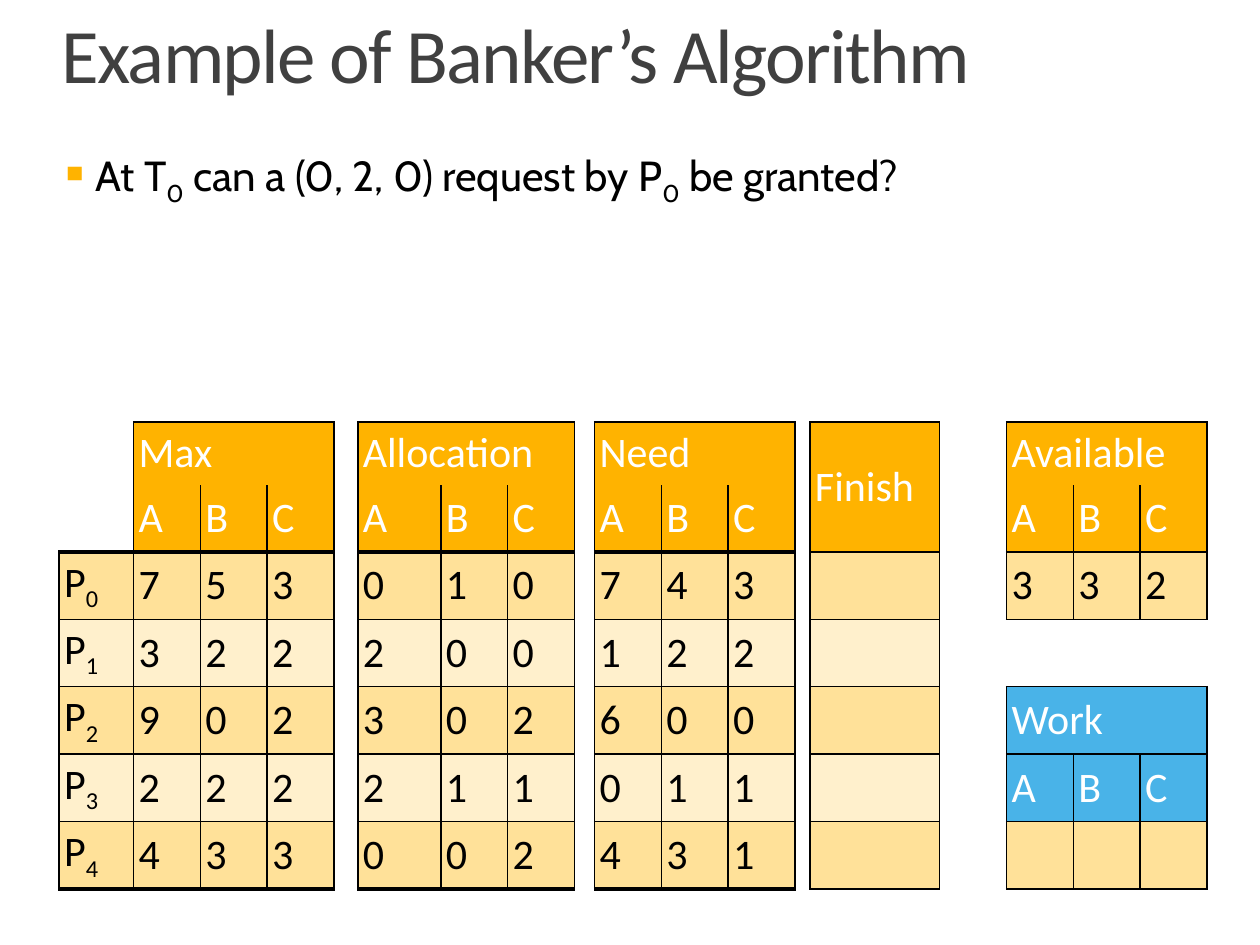
from lxml import etree
from pptx import Presentation
from pptx.dml.color import RGBColor
from pptx.enum.text import MSO_ANCHOR
from pptx.oxml.ns import qn
from pptx.util import Inches, Pt

TOP, MIDDLE, BOTTOM = MSO_ANCHOR.TOP, MSO_ANCHOR.MIDDLE, MSO_ANCHOR.BOTTOM
BLACK, WHITE, GREY = "000000", "FFFFFF", "404040"
AMBER, BLUE = "FFB300", "49B3E8"
BANDS = ["FFE199", "FFF0CC"]
THIN, THICK = 1, 2.25
PLAIN_TABLE = "{2D5ABB26-0587-4C30-8999-92F81FD0307C}"

COLUMN_WIDTHS = [0.59, 0.53, 0.53, 0.53, 0.19, 0.66, 0.53, 0.53, 0.16,
                 0.53, 0.53, 0.53, 0.12, 1.03, 0.53, 0.53, 0.53, 0.53]
ROW_HEIGHTS = [0.5] + [0.53] * 6
FINISH_COLUMN = 13
# title, first row, first column, header fill, bottom line width, values
RESOURCE_GROUPS = [
    ("Max", 0, 1, AMBER, THICK, ["753", "322", "902", "222", "433"]),
    ("Allocation", 0, 5, AMBER, THICK, ["010", "200", "302", "211", "002"]),
    ("Need", 0, 9, AMBER, THICK, ["743", "122", "600", "011", "431"]),
    ("Available", 0, 15, AMBER, THIN, ["332"]),
    ("Work", 4, 15, BLUE, THIN, ["   "]),
]


def color(hex_code):
    return RGBColor.from_string(hex_code)


def write(para, text, size, hex_code, font_name="Calibri"):
    """Fill a paragraph; every second part between bars is a subscript."""
    para.font.size = Pt(size)
    para.font.name = font_name
    para.font.color.rgb = color(hex_code)
    for index, part in enumerate(text.split("|")):
        if part:
            span = para.add_run()
            span.text = part
            if index % 2:
                span.font._element.set("baseline", "-25000")


def add_box(page, left, top, width, height, anchor):
    box = page.shapes.add_textbox(*map(Inches, (left, top, width, height)))
    frame = box.text_frame
    frame.word_wrap = True
    frame.vertical_anchor = anchor
    frame.margin_left = frame.margin_right = 0
    frame.margin_top = frame.margin_bottom = 0
    return frame


def add_title(page):
    frame = add_box(page, 0, 0, 10, 0.78, BOTTOM)
    frame.margin_top = Inches(0.04)
    para = frame.paragraphs[0]
    para._p.get_or_add_pPr().set("marL", str(Inches(0.49)))
    para.line_spacing = 0.8
    write(para, "Example of Banker’s Algorithm", 44, GREY)
    para.runs[0].font._element.set("spc", "-100")


def add_question(page):
    para = add_box(page, 0.47, 1.19, 9.06, 2.76, TOP).paragraphs[0]
    properties = para._p.get_or_add_pPr()
    properties.set("marL", str(Inches(0.29)))
    properties.set("indent", str(-Inches(0.29)))
    bullet_color = etree.SubElement(properties, qn("a:buClr"))
    etree.SubElement(bullet_color, qn("a:srgbClr"), val=AMBER)
    etree.SubElement(properties, qn("a:buChar"), char="▪")
    write(para, "At T|0| can a (0, 2, 0) request by P|0| be granted?", 24, BLACK, "Cabin")


def set_borders(cell, **widths):
    """Draw the given sides (L, R, T, B) with lines of these widths."""
    properties = cell._tc.get_or_add_tcPr()
    for index, side in enumerate(s for s in "LRTB" if s in widths):
        line = etree.Element(qn(f"a:ln{side}"), w=str(Pt(widths[side])))
        fill = etree.SubElement(line, qn("a:solidFill"))
        etree.SubElement(fill, qn("a:srgbClr"), val=BLACK)
        properties.insert(index, line)


def style_cell(cell, text, fill, text_color=BLACK, **borders):
    cell.fill.solid()
    cell.fill.fore_color.rgb = color(fill)
    set_borders(cell, L=THIN, R=THIN, **borders)
    write(cell.text_frame.paragraphs[0], text, 24, text_color)


def style_body_column(table, column, first_row, texts, edge):
    last = len(texts) - 1
    for index, text in enumerate(texts):
        style_cell(table.cell(first_row + index, column), text, BANDS[index % 2],
                   T=THIN if index else edge, B=edge if index == last else THIN)


def fill_group(table, title, row, column, fill, edge, values):
    for offset, letter in enumerate("ABC"):
        style_cell(table.cell(row, column + offset), "" if offset else title, fill, WHITE, T=THIN)
        style_cell(table.cell(row + 1, column + offset), letter, fill, WHITE, B=edge)
        texts = [value[offset].strip() for value in values]
        style_body_column(table, column + offset, row + 2, texts, edge)
    table.cell(row, column).merge(table.cell(row, column + 2))


def fill_finish(table):
    style_cell(table.cell(0, FINISH_COLUMN), "Finish", AMBER, WHITE, T=THIN, B=THIN)
    style_cell(table.cell(1, FINISH_COLUMN), "", AMBER, B=THIN)
    table.cell(0, FINISH_COLUMN).merge(table.cell(1, FINISH_COLUMN))
    style_body_column(table, FINISH_COLUMN, 2, [""] * 5, THIN)


def add_state_table(page):
    frame = page.shapes.add_table(
        len(ROW_HEIGHTS), len(COLUMN_WIDTHS), Inches(0.47), Inches(3.35),
        Inches(sum(COLUMN_WIDTHS)), Inches(sum(ROW_HEIGHTS)))
    table = frame.table
    table.first_row = table.horz_banding = False
    table._tbl.tblPr.find(qn("a:tableStyleId")).text = PLAIN_TABLE
    for column, width in zip(table.columns, COLUMN_WIDTHS):
        column.width = Inches(width)
    for row, height in zip(table.rows, ROW_HEIGHTS):
        row.height = Inches(height)
    for cell in table.iter_cells():
        cell.margin_left = cell.margin_right = Inches(0.04)
        cell.margin_top = cell.margin_bottom = Inches(0.04)
        cell.vertical_anchor = MIDDLE
        cell.fill.background()
    style_body_column(table, 0, 2, [f"P|{number}" for number in range(5)], THICK)
    for group in RESOURCE_GROUPS:
        fill_group(table, *group)
    fill_finish(table)


def main():
    deck = Presentation()
    deck.slide_width, deck.slide_height = Inches(10), Inches(7.5)
    page = deck.slides.add_slide(deck.slide_layouts[6])
    add_title(page)
    add_state_table(page)
    add_question(page)
    deck.save("out.pptx")


if __name__ == "__main__":
    main()
